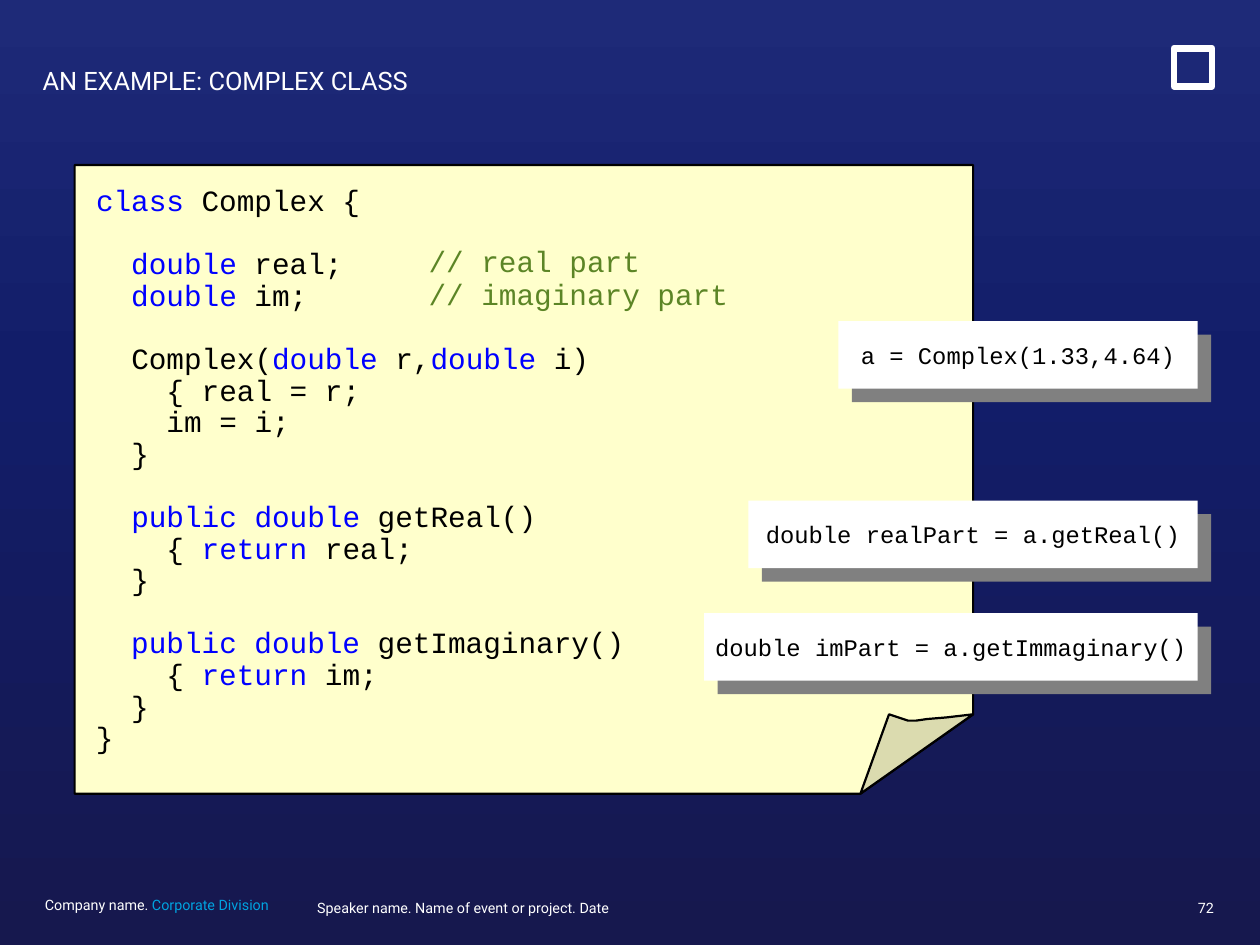
from copy import deepcopy

from pptx import Presentation
from pptx.dml.color import RGBColor
from pptx.enum.shapes import MSO_SHAPE
from pptx.enum.text import MSO_ANCHOR, PP_ALIGN
from pptx.oxml.ns import qn
from pptx.util import Pt

WHITE = RGBColor(0xFF, 0xFF, 0xFF)
BLACK = RGBColor(0, 0, 0)
BLUE = RGBColor(0, 0, 0xFF)
CYAN = RGBColor(0, 0xA3, 0xE0)
GREEN = RGBColor(0x5C, 0x85, 0x26)
GREY = RGBColor(0x80, 0x80, 0x80)
PAPER = RGBColor(0xFF, 0xFF, 0xCC)
FOLD = RGBColor(0xDB, 0xDB, 0xAF)
SKY = [(0, RGBColor(0x1E, 0x2A, 0x78)), (0.4, RGBColor(0x12, 0x1D, 0x69)),
       (1, RGBColor(0x16, 0x18, 0x4E))]

SANS, MONO = "Roboto", "Courier New"
CODE_X, CODE_Y = 60.5, 117.2
ROW, TAB = 19.9, 22.2  # code line pitch and one indent level

# Code blocks: row, indent level, width, lines; keywords stand between bars
CODE = [
    (0, 0, 167, ["|class |Complex {"]),
    (2, 1, 150, ["|double |real;", "|double |im;"]),
    (5, 1, 320, ["Complex(|double |r,|double |i)", "  { real = r;",
                 "  im = i;", "}"]),
    (10, 1, 290, ["|public double |getReal()", "  { |return |real;", "}"]),
    (14, 1, 335, ["|public double |getImaginary()", "  { |return |im;", "}"]),
    (17, 0, 20, ["}"]),
]
NOTES = ["// real part", "// imaginary part"]

# Call examples: top, width, text
CALLS = [
    (202.3, 226.4, "a = Complex(1.33,4.64)"),
    (315.4, 283, "double realPart = a.getReal()"),
    (386.3, 311, "double imPart = a.getImmaginary()"),
]
CALL_END, CALL_H, SHADE = 754.5, 42.5, 8.5

# Page outline and its turned corner
PAGE = [(612.7, 450), (612.7, 103.5), (46.8, 103.5), (46.8, 499.6), (542.2, 499.6)]
CURL = [(612.7, 450), (595.5, 451.5), (584, 453), (577, 453.7), (572, 453.7),
        (566, 452.5), (560.5, 450), (542.2, 499.6)]


def add_run(para, text, font, size, color):
    run = para.add_run()
    run.text = text
    run.font.name = font
    run.font.size = Pt(size)
    run.font.color.rgb = color


def add_text(slide, x, y, w, h, lines, font, size, space, align=PP_ALIGN.LEFT):
    """Each line is a list of (text, color) runs."""
    frame = slide.shapes.add_textbox(Pt(x), Pt(y), Pt(w), Pt(h)).text_frame
    frame.word_wrap = True
    frame.margin_left = frame.margin_right = Pt(0)
    frame.margin_top = frame.margin_bottom = Pt(0)
    for i, runs in enumerate(lines):
        para = frame.add_paragraph() if i else frame.paragraphs[0]
        para.alignment = align
        para.line_spacing = space
        for text, color in runs:
            add_run(para, text, font, size, color)


def add_box(slide, x, y, w, h, fill):
    box = slide.shapes.add_shape(MSO_SHAPE.RECTANGLE, Pt(x), Pt(y), Pt(w), Pt(h))
    box.shadow.inherit = False
    box.fill.solid()
    box.fill.fore_color.rgb = fill
    box.line.fill.background()
    return box


def add_free(slide, points, fill):
    pen = slide.shapes.build_freeform(*points[0], scale=Pt(1))
    pen.add_line_segments(points[1:], close=True)
    form = pen.convert_to_shape()
    form.shadow.inherit = False
    form.fill.solid()
    form.fill.fore_color.rgb = fill
    form.line.color.rgb = BLACK
    form.line.width = Pt(1.4)


def add_code(slide, row, level, width, lines):
    parts = [[(text, BLUE if i % 2 else BLACK)
              for i, text in enumerate(line.split("|")) if text] for line in lines]
    add_text(slide, CODE_X + TAB * level, CODE_Y + ROW * row, width,
             ROW * len(lines), parts, MONO, 18.5, Pt(ROW))


def add_call(slide, top, width, text):
    left = CALL_END - width
    add_box(slide, left + SHADE, top + SHADE, width, CALL_H, GREY)
    frame = add_box(slide, left, top, width, CALL_H, WHITE).text_frame
    frame.margin_left = frame.margin_right = Pt(0)
    frame.vertical_anchor = MSO_ANCHOR.MIDDLE
    frame.paragraphs[0].alignment = PP_ALIGN.CENTER
    add_run(frame.paragraphs[0], text, MONO, 15, BLACK)


def set_back(slide):
    fill = slide.background.fill
    fill.gradient()
    fill.gradient_angle = 270
    stops = slide.element.find(".//" + qn("a:gsLst"))
    stops.append(deepcopy(stops[0]))
    for stop, (place, color) in zip(fill.gradient_stops, SKY):
        stop.position = place
        stop.color.rgb = color


def main():
    deck = Presentation()
    deck.slide_width, deck.slide_height = Pt(793.7), Pt(595.3)
    slide = deck.slides.add_slide(deck.slide_layouts[6])
    set_back(slide)

    # Plain square in the corner
    mark = add_box(slide, 739.5, 30.3, 24, 24, WHITE)
    mark.fill.background()
    mark.line.color.rgb = WHITE
    mark.line.width = Pt(4.3)

    # Title and footer
    add_text(slide, 26.8, 43.2, 682, 44, [[("AN EXAMPLE: COMPLEX CLASS", WHITE)]],
             SANS, 16, 0.9)
    add_text(slide, 28.3, 566.6, 157, 14.4,
             [[("Company name. ", WHITE), ("Corporate Division", CYAN)]],
             SANS, 9, Pt(9))
    add_text(slide, 199.8, 568.5, 389, 14.4,
             [[("Speaker name. Name of event or project. Date", WHITE)]],
             SANS, 9, Pt(9))
    add_text(slide, 737.3, 568.5, 27.4, 14.4, [[("72", WHITE)]],
             SANS, 9, Pt(9), PP_ALIGN.RIGHT)

    # Page with code
    add_free(slide, PAGE, PAPER)
    add_free(slide, CURL, FOLD)
    for block in CODE:
        add_code(slide, *block)
    add_text(slide, 270, 154.2, 200, 42.2, [[(note, GREEN)] for note in NOTES],
             MONO, 18.5, Pt(21.1))

    # Call examples
    for call in CALLS:
        add_call(slide, *call)

    deck.save("out.pptx")


if __name__ == "__main__":
    main()
